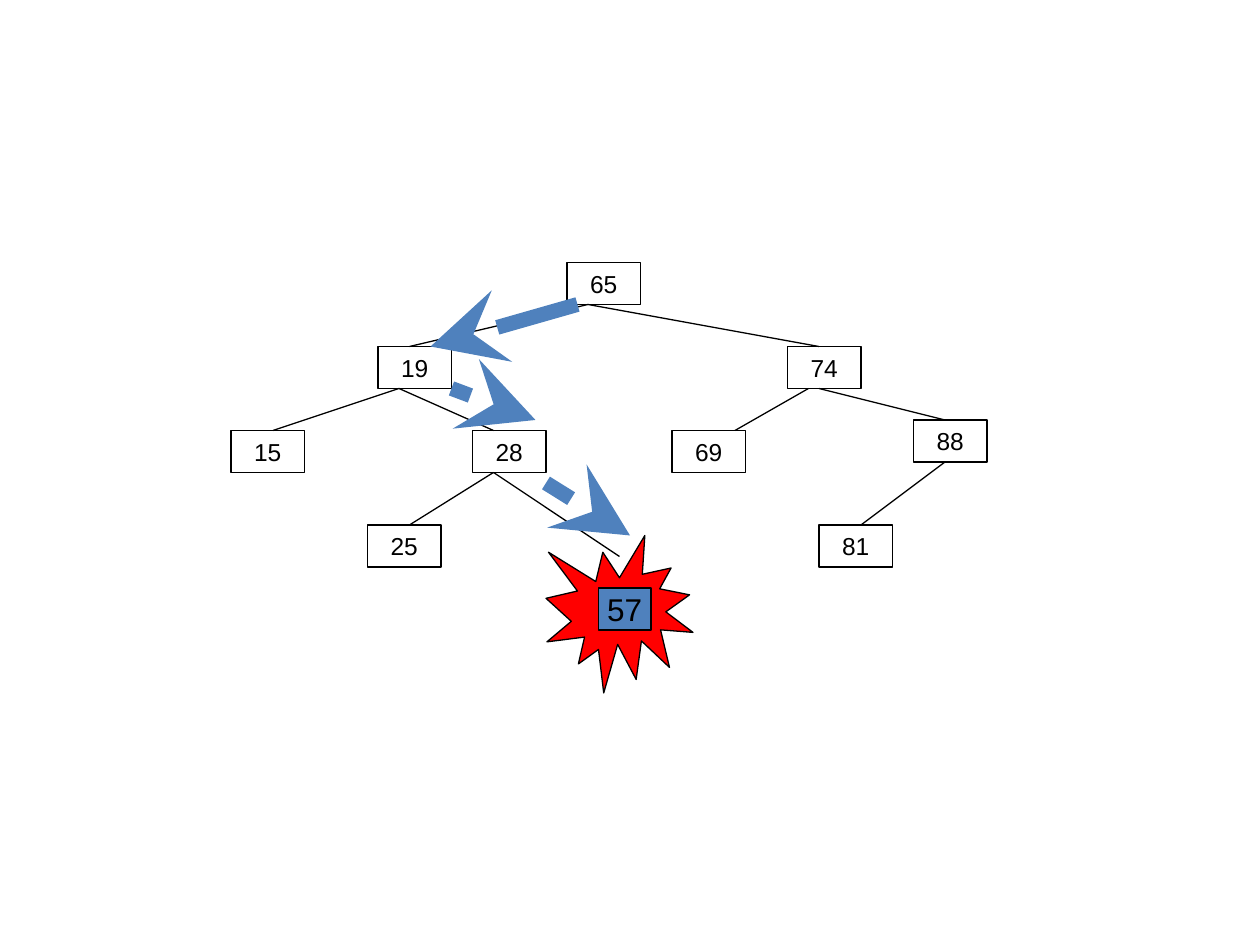
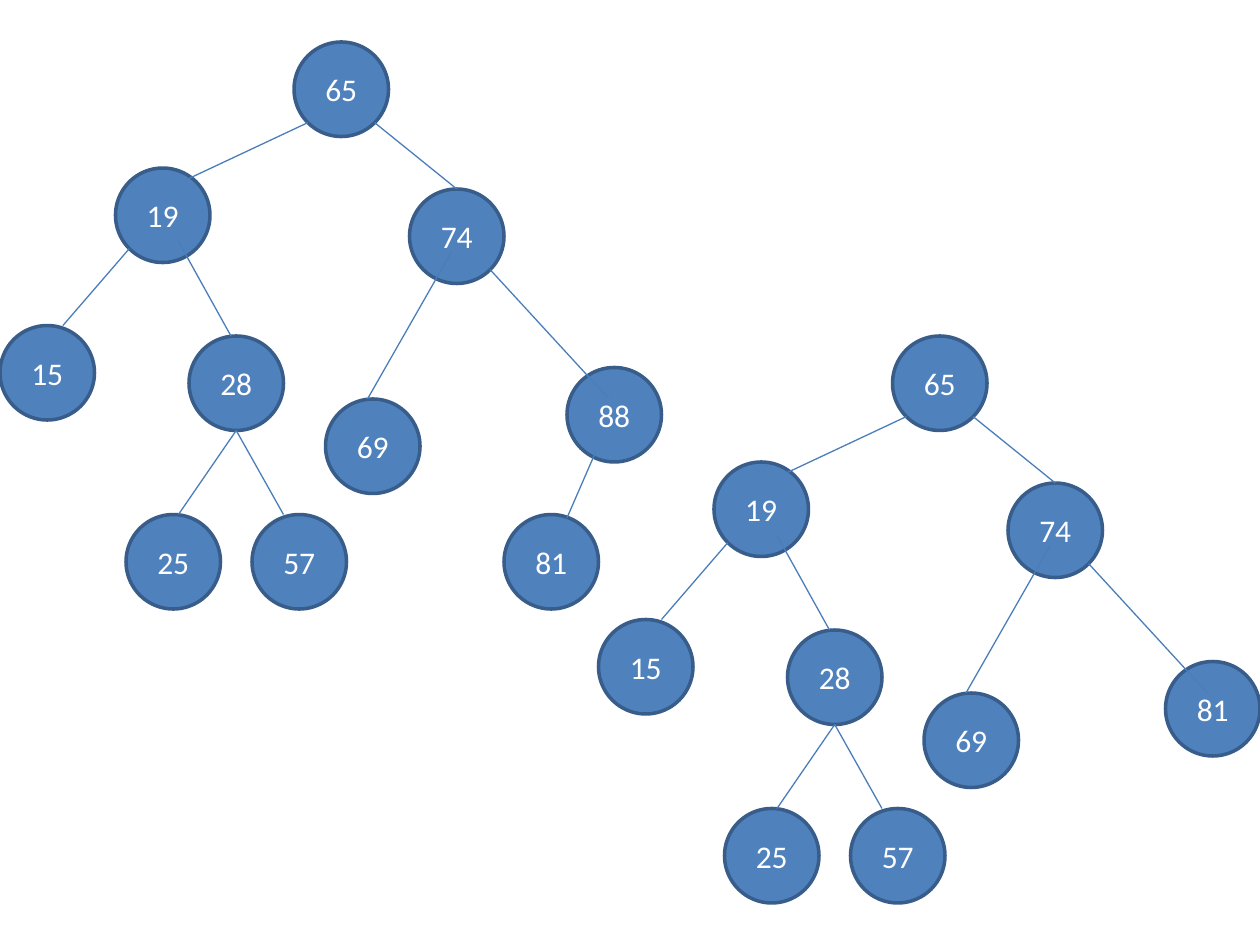
from dataclasses import dataclass

from lxml.etree import SubElement
from pptx import Presentation
from pptx.dml.color import RGBColor
from pptx.enum.shapes import MSO_CONNECTOR, MSO_SHAPE
from pptx.enum.text import MSO_ANCHOR, PP_ALIGN
from pptx.oxml.ns import qn
from pptx.util import Cm, Pt


@dataclass(frozen=True)
class Theme:
    black: RGBColor = RGBColor(0x00, 0x00, 0x00)
    white: RGBColor = RGBColor(0xFF, 0xFF, 0xFF)
    red: RGBColor = RGBColor(0xFF, 0x00, 0x00)
    blue: RGBColor = RGBColor(0x4F, 0x81, 0xBD)
    rim: RGBColor = RGBColor(0x38, 0x5D, 0x8A)
    branch: RGBColor = RGBColor(0x4A, 0x7E, 0xBB)
    box_font: str = "Arial"
    circle_font: str = "Calibri"
    box_size: float = 14
    key_size: float = 18
    thin: float = 0.75
    rim_width: float = 2
    arrow_width: float = 8.5


THEME = Theme()
SLIDE_WIDTH, SLIDE_HEIGHT = 25.4, 19.05
GRID_STEP = SLIDE_WIDTH / 120

BOX_WIDTH, BOX_HEIGHT = 7, 4
BOXES = {
    65: (54, 25), 19: (36, 33), 74: (75, 33), 28: (45, 41), 81: (78, 50),
    25: (35, 50), 69: (64, 41), 88: (87, 40), 15: (22, 41),
}
BOX_BRANCHES = [
    ((56, 29), (39, 33)), ((56, 29), (78, 33)),
    ((38, 37), (26, 41)), ((38, 37), (47, 41)),
    ((77, 37), (70, 41)), ((78, 37), (90, 40)),
    ((90, 44), (82, 50)),
    ((47, 45), (39, 50)), ((47, 45), (59, 53)),
]
SEARCH_STEPS = [
    ((52, 46), (60, 51)), ((43, 37), (51, 40)), ((55, 29), (41, 33)),
]

DIAMETER = 9
CIRCLES = {
    65: (28, 4), 19: (11, 16), 74: (39, 18), 15: (0, 31), 28: (18, 32),
    69: (31, 38), 88: (54, 35), 25: (12, 49), 57: (24, 49), 81: (48, 49),
}
CIRCLE_BRANCHES = {
    (65, 19): ((29.32, 11.68), (18, 17)),
    (19, 15): ((12.32, 23.68), (6, 31)),
    (65, 74): ((35.68, 11.68), (43.5, 18)),
    (19, 28): ((17, 23), (22, 32)),
    (74, 88): ((46.68, 25.68), (58, 38)),
    (74, 69): ((43, 24), (35, 38)),
    (28, 25): ((22.5, 41), (17, 49)),
    (28, 57): ((22.5, 41), (27, 49)),
    (88, 81): ((56.75, 43), (54, 49.33)),
}
AFTER_DELETION = (57, 28)


def grid(*steps):
    return [Cm(step * GRID_STEP) for step in steps]


def shift(point, offset):
    return point[0] + offset[0], point[1] + offset[1]


def add_outline(slide, preset, corner, size, line_color, line_width, fill=None):
    outline = slide.shapes.add_shape(preset, *grid(*corner, *size))
    outline.shadow.inherit = False
    if fill is None:
        outline.fill.background()
    else:
        outline.fill.solid()
        outline.fill.fore_color.rgb = fill
    outline.line.color.rgb = line_color
    outline.line.width = Pt(line_width)
    return outline


def write_key(node, key, font_name, size, color):
    node.text_frame.vertical_anchor = MSO_ANCHOR.MIDDLE
    label = node.text_frame.paragraphs[0]
    label.text = str(key)
    label.alignment = PP_ALIGN.CENTER
    label.font.name = font_name
    label.font.size = Pt(size)
    label.font.color.rgb = color


def add_box(slide, key, corner, width=BOX_WIDTH, size=THEME.box_size, fill=None):
    box = add_outline(slide, MSO_SHAPE.RECTANGLE, corner, (width, BOX_HEIGHT),
                      THEME.black, THEME.thin, fill)
    box.text_frame.word_wrap = False
    write_key(box, key, THEME.box_font, size, THEME.black)


def add_circle(slide, key, corner):
    circle = add_outline(slide, MSO_SHAPE.OVAL, corner, (DIAMETER, DIAMETER),
                         THEME.rim, THEME.rim_width, THEME.blue)
    write_key(circle, key, THEME.circle_font, THEME.key_size, THEME.white)


def add_branch(slide, start, end, color, width=THEME.thin):
    branch = slide.shapes.add_connector(MSO_CONNECTOR.STRAIGHT, *grid(*start, *end))
    branch.line.color.rgb = color
    branch.line.width = Pt(width)
    SubElement(branch.element.spPr, qn("a:effectLst"))
    return branch


def add_search_arrow(slide, start, end):
    arrow = add_branch(slide, start, end, THEME.blue, THEME.arrow_width)
    stroke = arrow.element.spPr.find(qn("a:ln"))
    SubElement(stroke, qn("a:tailEnd"), type="stealth", w="lg", len="lg")


def add_circle_tree(slide, offset=(0, 0), leaf=None, replaced=None):
    for key, corner in CIRCLES.items():
        if key != leaf:
            shown = leaf if key == replaced else key
            add_circle(slide, shown, shift(corner, offset))
    for (_, child), (start, end) in CIRCLE_BRANCHES.items():
        if child != leaf:
            add_branch(slide, shift(start, offset), shift(end, offset), THEME.branch)


def build_insertion(slide):
    for key, corner in BOXES.items():
        add_box(slide, key, corner)
    for start, end in BOX_BRANCHES:
        add_branch(slide, start, end, THEME.black)
    for start, end in SEARCH_STEPS:
        add_search_arrow(slide, start, end)
    add_outline(slide, MSO_SHAPE.EXPLOSION1, (52, 51), (14, 15),
                THEME.black, THEME.thin, THEME.red)
    add_box(slide, 57, (57, 56), width=5, size=THEME.key_size, fill=THEME.blue)


def build_deletion(slide):
    add_circle_tree(slide)
    add_circle_tree(slide, AFTER_DELETION, leaf=81, replaced=88)


def main():
    deck = Presentation()
    deck.slide_width, deck.slide_height = Cm(SLIDE_WIDTH), Cm(SLIDE_HEIGHT)
    blank = deck.slide_layouts[6]
    for build in (build_insertion, build_deletion):
        build(deck.slides.add_slide(blank))
    deck.save("out.pptx")


if __name__ == "__main__":
    main()
